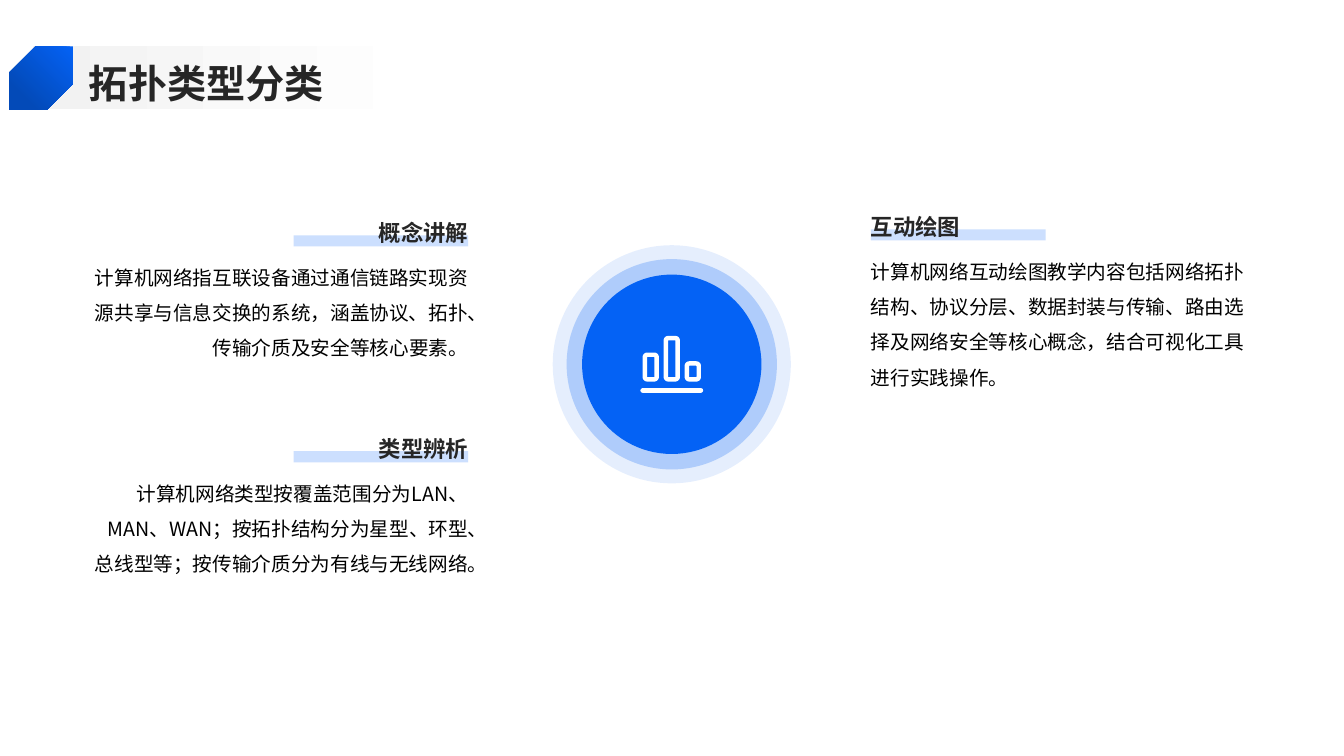
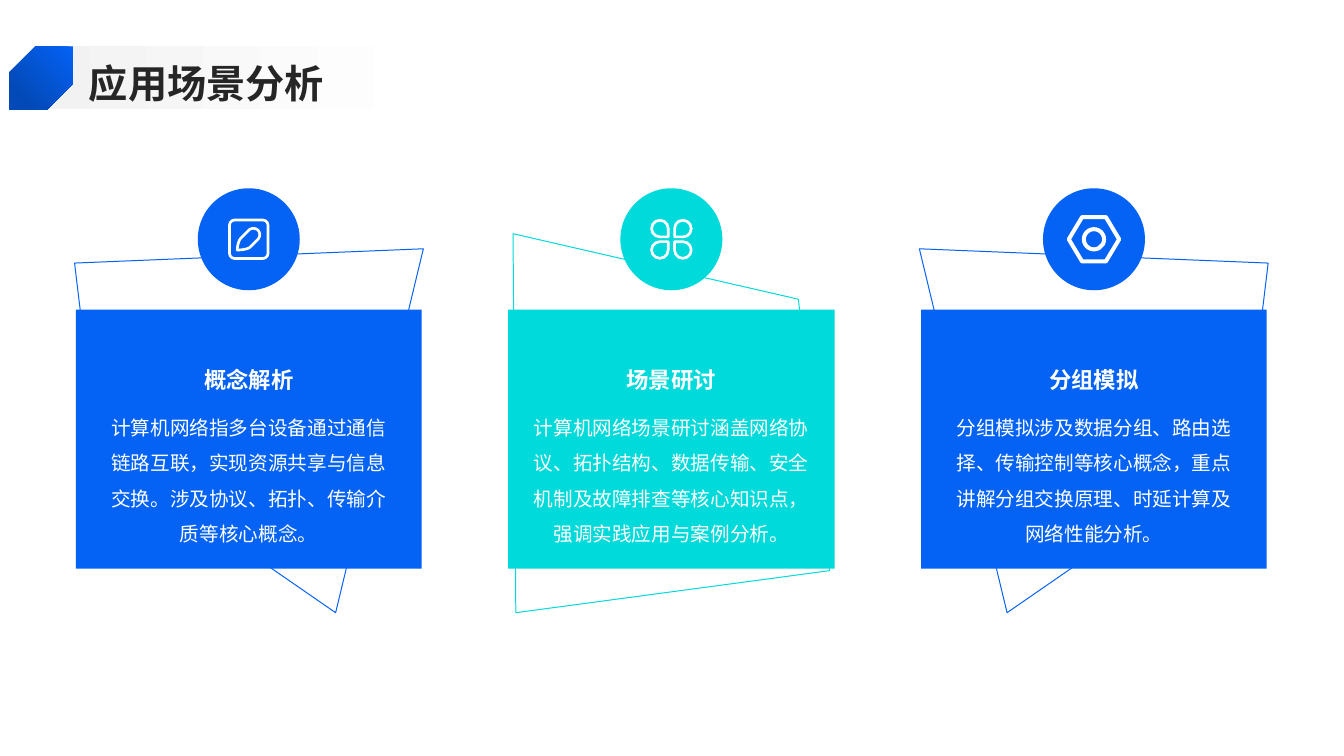
import pptx
import pptx.util
import pptx.dml.color
import pptx.enum.shapes
import pptx.enum.text
import pptx.oxml
import pptx.oxml.ns

Cm, Pt = pptx.util.Cm, pptx.util.Pt
SHAPE = pptx.enum.shapes.MSO_SHAPE
ALIGN = pptx.enum.text.PP_ALIGN
ANCHOR = pptx.enum.text.MSO_ANCHOR

# Shared style
BLUE, DEEP_BLUE, TEAL, PALE_BLUE = "0462F5", "034AB8", "00DADA", "CCDFFE"
WHITE, GREY, DARK, BLACK = "FFFFFF", "F2F2F2", "262626", "000000"
FONT, BODY_FONT = "Noto Sans CJK SC", "Arial"

# Slide 1 content: heading, body, left, top, alignment
TOPICS_TITLE = "拓扑类型分类"
TOPICS = [
    ("概念讲解", "计算机网络指互联设备通过通信链路实现资源共享与信息交换的系统，"
     "涵盖协议、拓扑、传输介质及安全等核心要素。", 2.3, 5, ALIGN.RIGHT),
    ("类型辨析", "计算机网络类型按覆盖范围分为LAN、MAN、WAN；"
     "按拓扑结构分为星型、环型、总线型等；按传输介质分为有线与无线网络。",
     2.3, 10.44, ALIGN.RIGHT),
    ("互动绘图", "计算机网络互动绘图教学内容包括网络拓扑结构、协议分层、数据封装与传输、"
     "路由选择及网络安全等核心概念，结合可视化工具进行实践操作。",
     21.95, 4.85, ALIGN.LEFT),
]
TOPIC_WIDTH, MARK_WIDTH = 9.5, 4.4
HUB_X, HUB_Y = 16.93, 9.18
HUB_RINGS = [(6, 10), (5.3, 24), (4.52, 100)]  # diameter, opacity in percent
BAR_TOPS, BAR_BOTTOM = [8.94, 8.52, 9.16], 9.56

# Slide 2 content: heading, body, colour, card width, frame corners
# (corner x is measured from the column centre)
SCENES_TITLE = "应用场景分析"
SIDE_FRAME = [(2.19, 15.44), (-3.83, 11.28), (-4.39, 6.63), (4.4, 6.27)]
MIDDLE_FRAME = [(3.99, 14.38), (-3.92, 15.44), (-3.99, 5.89), (3.2, 7.54)]
SCENES = [
    ("概念解析", "计算机网络指多台设备通过通信链路互联，实现资源共享与信息交换。"
     "涉及协议、拓扑、传输介质等核心概念。", BLUE, 8.71, SIDE_FRAME),
    ("场景研讨", "计算机网络场景研讨涵盖网络协议、拓扑结构、数据传输、"
     "安全机制及故障排查等核心知识点，强调实践应用与案例分析。",
     TEAL, 8.23, MIDDLE_FRAME),
    ("分组模拟", "分组模拟涉及数据分组、路由选择、传输控制等核心概念，"
     "重点讲解分组交换原理、时延计算及网络性能分析。",
     BLUE, 8.71, [(-x, y) for x, y in SIDE_FRAME]),
]
FIRST_COLUMN, COLUMN_STEP, ICON_Y = 6.27, 10.65, 6.03

# Pen outline around the icon centre: start, then cubic curves
PEN_START = (-0.29, 0.27)
PEN_CURVES = [
    [(-0.29, 0.15), (-0.25, 0.03), (-0.2, -0.03)],
    [(-0.13, -0.1), (-0.07, -0.16), (0, -0.23)],
    [(0.06, -0.29), (0.17, -0.29), (0.23, -0.23)],
    [(0.29, -0.17), (0.29, -0.06), (0.23, 0)],
    [(0.16, 0.07), (0.1, 0.13), (0.03, 0.2)],
    [(-0.03, 0.25), (-0.18, 0.27), (-0.29, 0.27)],
]


def color(value):
    return pptx.dml.color.RGBColor.from_string(value)


def paint(shape, fill=None, line=None, line_width=0.7, opacity=100):
    shape.shadow.inherit = False
    if fill:
        shape.fill.solid()
        shape.fill.fore_color.rgb = color(fill)
        if opacity < 100:
            solid = shape.fill._xPr.find(pptx.oxml.ns.qn("a:solidFill"))
            alpha = pptx.oxml.parse_xml(
                f'<a:alpha {pptx.oxml.ns.nsdecls("a")} val="{opacity * 1000}"/>')
            solid[0].append(alpha)
    else:
        shape.fill.background()
    if line:
        shape.line.color.rgb = color(line)
        shape.line.width = Pt(line_width)
    else:
        shape.line.fill.background()
    return shape


def add_shape(slide, kind, left, top, width, height, adjustments=(), **style):
    shape = slide.shapes.add_shape(kind, Cm(left), Cm(top), Cm(width), Cm(height))
    for index, value in enumerate(adjustments):
        shape.adjustments[index] = value
    return paint(shape, **style)


def add_centred(slide, kind, x, y, width, height, adjustments=(), **style):
    return add_shape(slide, kind, x - width / 2, y - height / 2,
                     width, height, adjustments, **style)


def add_outline(slide, points, line, line_width=0.7):
    corners = [(Cm(x), Cm(y)) for x, y in points]
    builder = slide.shapes.build_freeform(*corners[0], scale=1.0)
    builder.add_line_segments(corners[1:], close=True)
    return paint(builder.convert_to_shape(), line=line, line_width=line_width)


def add_gradient(shape, first, last, angle):
    shape.fill.gradient()
    shape.fill.gradient_angle = angle
    for stop, value, position in zip(shape.fill.gradient_stops, (first, last), (0, 0.8)):
        stop.color.rgb = color(value)
        stop.position = position


def write(shape, text, size, value, bold=False, align=ALIGN.LEFT,
          spacing=1.5, anchor=ANCHOR.TOP, font=FONT):
    frame = shape.text_frame
    frame.word_wrap = True
    frame.auto_size = pptx.enum.text.MSO_AUTO_SIZE.NONE
    frame.vertical_anchor = anchor
    frame.margin_left = frame.margin_right = frame.margin_top = frame.margin_bottom = 0
    paragraph = frame.paragraphs[0]
    paragraph.alignment = align
    paragraph.line_spacing = spacing
    paragraph.space_before = Pt(0)
    run = paragraph.add_run()
    run.text = text
    run.font.size = Pt(size)
    run.font.bold = bold
    run.font.color.rgb = color(value)
    run.font.name = font
    properties = run._r.get_or_add_rPr()
    properties.set("lang", "zh-CN")
    properties.append(pptx.oxml.parse_xml(
        f'<a:ea {pptx.oxml.ns.nsdecls("a")} typeface="{FONT}"/>'))


def add_text(slide, left, top, width, height, text, size, value, **style):
    box = slide.shapes.add_textbox(Cm(left), Cm(top), Cm(width), Cm(height))
    write(box, text, size, value, **style)


def add_titled_slide(presentation, text):
    slide = presentation.slides.add_slide(presentation.slide_layouts[5])
    band = add_shape(slide, SHAPE.RECTANGLE, 0.84, 1.17, 12.5, 1.57)
    add_gradient(band, GREY, WHITE, 0)
    badge = add_shape(slide, SHAPE.SNIP_2_DIAG_RECTANGLE, 0.24, 1.17, 1.6, 1.6, (0.41, 0))
    add_gradient(badge, BLUE, DEEP_BLUE, 225)
    title = slide.shapes.title
    title.left, title.top, title.width, title.height = Cm(2.24), Cm(1.37), Cm(30.18), Cm(1.3)
    write(title, text, 28, DARK, bold=True, spacing=1.1, anchor=ANCHOR.MIDDLE)
    slide.shapes._spTree.append(title._element)  # title above its band
    return slide


# Icons
def draw_chart_icon(slide):
    for index, top in enumerate(BAR_TOPS):
        add_shape(slide, SHAPE.ROUNDED_RECTANGLE, HUB_X + (index - 1) * 0.53 - 0.15, top,
                  0.3, BAR_BOTTOM - top, (0.2,), line=WHITE, line_width=3.2)
    add_shape(slide, SHAPE.ROUNDED_RECTANGLE, HUB_X - 0.79, 9.78, 1.58, 0.12, (0.5,),
              fill=WHITE)


def draw_pen_icon(slide, x, y):
    add_centred(slide, SHAPE.ROUNDED_RECTANGLE, x, y, 0.97, 0.97, (0.13,),
                line=WHITE, line_width=1.9)
    points, start = [PEN_START], PEN_START
    for first, second, end in PEN_CURVES:
        for step in range(1, 9):
            t = step / 8
            weights = ((1 - t) ** 3, 3 * t * (1 - t) ** 2, 3 * t * t * (1 - t), t ** 3)
            corners = (start, first, second, end)
            points.append(tuple(sum(weight * corner[axis]
                                    for weight, corner in zip(weights, corners))
                                for axis in (0, 1)))
        start = end
    add_outline(slide, [(x + dx, y + dy) for dx, dy in points[:-1]], WHITE, 1.9)


def draw_clover_icon(slide, x, y):
    for side, level, rotation in [(-1, -1, 90), (1, -1, 180), (-1, 1, 0), (1, 1, 270)]:
        petal = add_centred(slide, SHAPE.TEAR, x + side * 0.29, y + level * 0.27,
                            0.42, 0.42, line=WHITE, line_width=1.9)
        petal.rotation = rotation


def draw_nut_icon(slide, x, y):
    add_centred(slide, SHAPE.HEXAGON, x, y, 1.27, 1.12, (0.3,), line=WHITE, line_width=2.9)
    add_centred(slide, SHAPE.OVAL, x, y, 0.51, 0.51, line=WHITE, line_width=2.9)


SCENE_ICONS = [draw_pen_icon, draw_clover_icon, draw_nut_icon]


# Slides
def build_topics(presentation):
    slide = add_titled_slide(presentation, TOPICS_TITLE)
    for heading, body, left, top, align in TOPICS:
        mark_left = left + TOPIC_WIDTH - MARK_WIDTH if align == ALIGN.RIGHT else left
        add_shape(slide, SHAPE.RECTANGLE, mark_left, top + 0.93, MARK_WIDTH, 0.28,
                  fill=PALE_BLUE)
        add_text(slide, left, top, TOPIC_WIDTH, 1.2, heading, 16, DARK,
                 bold=True, align=align, anchor=ANCHOR.BOTTOM)
        add_text(slide, left, top + 1.4, TOPIC_WIDTH, 3.84, body, 14, BLACK, align=align)
    for diameter, opacity in HUB_RINGS:
        add_centred(slide, SHAPE.OVAL, HUB_X, HUB_Y, diameter, diameter,
                    fill=BLUE, opacity=opacity)
    draw_chart_icon(slide)


def build_scenes(presentation):
    slide = add_titled_slide(presentation, SCENES_TITLE)
    for index, (heading, body, fill, width, frame) in enumerate(SCENES):
        x = FIRST_COLUMN + index * COLUMN_STEP
        add_outline(slide, [(x + dx, y) for dx, y in frame], fill)
        add_shape(slide, SHAPE.RECTANGLE, x - width / 2, 7.8, width, 6.53, fill=fill)
        add_centred(slide, SHAPE.OVAL, x, ICON_Y, 2.57, 2.57, fill=fill)
        SCENE_ICONS[index](slide, x, ICON_Y)
        add_text(slide, x - 3.6, 8.08, 7.2, 1.83, heading, 16, WHITE, bold=True,
                 align=ALIGN.CENTER, spacing=1.3, anchor=ANCHOR.BOTTOM)
        add_text(slide, x - 3.6, 10.19, 7.2, 3.78, body, 14, WHITE,
                 align=ALIGN.CENTER, font=BODY_FONT)


def main():
    presentation = pptx.Presentation()
    presentation.slide_width, presentation.slide_height = Cm(33.87), Cm(19.05)
    build_topics(presentation)
    build_scenes(presentation)
    presentation.save("out.pptx")


if __name__ == "__main__":
    main()
